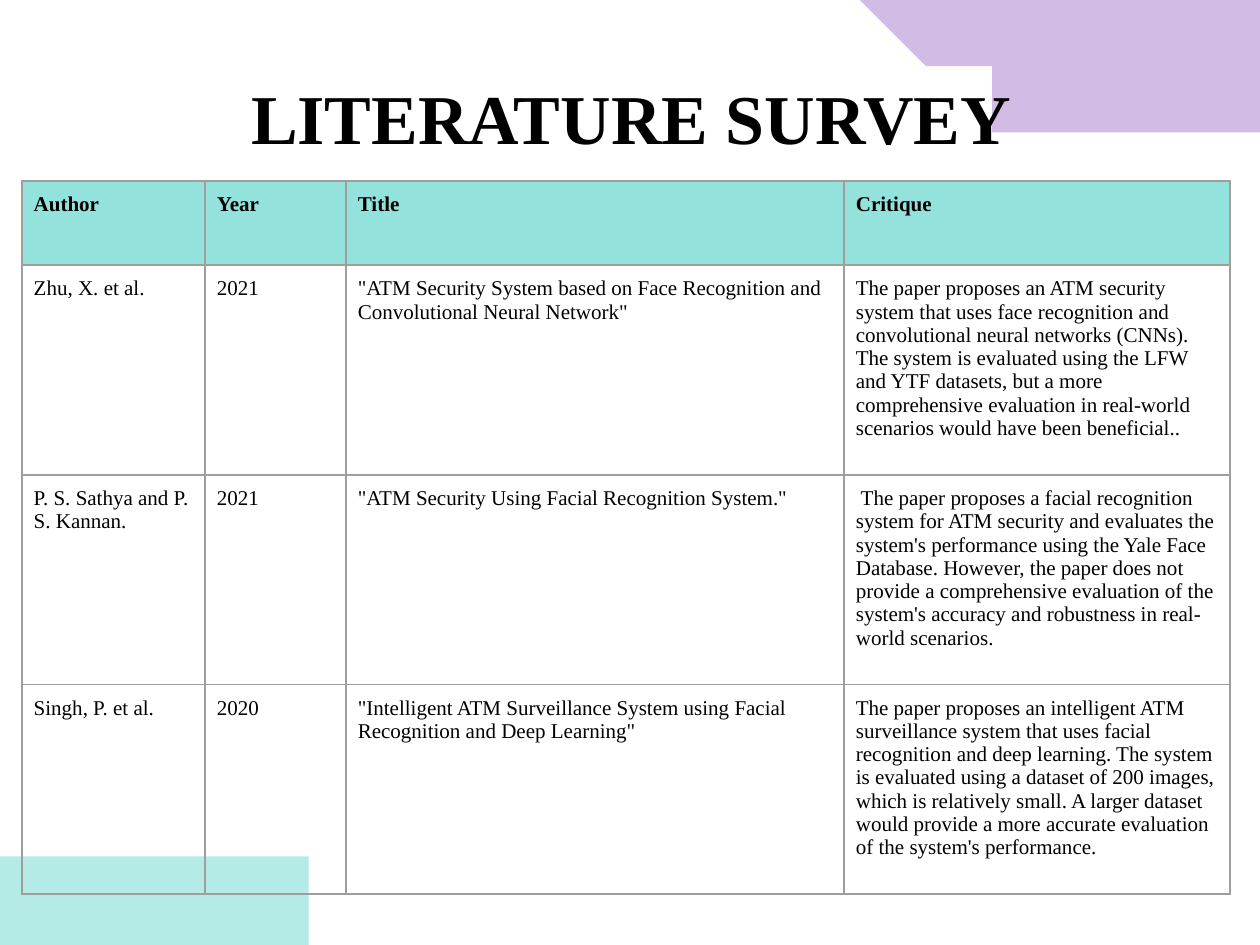
"""Build the literature survey slide."""
from dataclasses import dataclass

from lxml import etree
from pptx import Presentation
from pptx import util as u
from pptx.dml.color import RGBColor
from pptx.enum import shapes, text
from pptx.oxml import ns

FONT = "Times New Roman"
BLACK = RGBColor(0x00, 0x00, 0x00)
HEADER_TEAL = RGBColor(0x94, 0xE2, 0xDC)
CORNER_TEAL = RGBColor(0xB5, 0xEB, 0xE7)
LILAC = RGBColor(0xD2, 0xBC, 0xE6)
BORDER_GREY = RGBColor(0x9E, 0x9E, 0x9E)

Point = tuple[float, float]
Curve = tuple[Point, Point, Point]


@dataclass(frozen=True)
class Paper:
    """One row of the survey."""

    author: str
    year: str
    title: str
    critique: str

    def values(self) -> tuple[str, ...]:
        """Return the row's cell texts in column order."""
        return self.author, self.year, self.title, self.critique


HEADER = Paper("Author", "Year", "Title", "Critique")
PAPERS = [
    Paper(
        "Zhu, X. et al.",
        "2021",
        '"ATM Security System based on Face Recognition and Convolutional Neural Network"',
        "The paper proposes an ATM security system that uses face recognition and "
        "convolutional neural networks (CNNs). The system is evaluated using the LFW and "
        "YTF datasets, but a more comprehensive evaluation in real-world scenarios would "
        "have been beneficial..",
    ),
    Paper(
        "P. S. Sathya and P. S. Kannan.",
        "2021",
        '"ATM Security Using Facial Recognition System."',
        " The paper proposes a facial recognition system for ATM security and evaluates "
        "the system's performance using the Yale Face Database. However, the paper does "
        "not provide a comprehensive evaluation of the system's accuracy and robustness "
        "in real-world scenarios.",
    ),
    Paper(
        "Singh, P. et al.",
        "2020",
        '"Intelligent ATM Surveillance System using Facial Recognition and Deep Learning"',
        "The paper proposes an intelligent ATM surveillance system that uses facial "
        "recognition and deep learning. The system is evaluated using a dataset of 200 "
        "images, which is relatively small. A larger dataset would provide a more "
        "accurate evaluation of the system's performance.",
    ),
]
COLUMN_WIDTHS = [2.77, 2.13, 7.53, 5.84]
HEADER_HEIGHT, PAPER_HEIGHT = 1.27, 3.17

WAVE_TOP_RIGHT: Point = (21.54, -2.59)
WAVE_TOP_LEFT: Point = (13.13, -2.59)
WAVE_START: Point = (13.13, 0)
WAVE_CURVES: list[Curve] = [
    ((13.89, 1.22), (15.06, 2.01), (16.26, 2.01)),
    ((17.2, 2.01), (18.08, 1.55), (19.02, 1.52)),
    ((19.96, 1.52), (20.83, 1.96), (21.54, 2.64)),
]


def curve_points(start: Point, curve: Curve, steps: int = 24) -> list[Point]:
    """Sample a cubic curve, leaving out its start."""
    points = []
    for step in range(1, steps + 1):
        t = step / steps
        weights = ((1 - t) ** 3, 3 * t * (1 - t) ** 2, 3 * t**2 * (1 - t), t**3)
        x, y = (sum(w * p[axis] for w, p in zip(weights, (start, *curve))) for axis in (0, 1))
        points.append((x, y))
    return points


def paint(shape, color: RGBColor) -> None:
    """Give a decoration a plain fill without line or shadow."""
    shape.fill.solid()
    shape.fill.fore_color.rgb = color
    shape.line.fill.background()
    shape.shadow.inherit = False


def add_decorations(slide) -> None:
    """Draw the teal corner block and the lilac wave."""
    corner = slide.shapes.add_shape(
        shapes.MSO_SHAPE.RECTANGLE, u.Cm(0), u.Cm(12.95), u.Cm(4.67), u.Cm(1.34)
    )
    paint(corner, CORNER_TEAL)
    outline = [WAVE_TOP_LEFT, WAVE_START]
    for curve in WAVE_CURVES:
        outline += curve_points(outline[-1], curve)
    builder = slide.shapes.build_freeform(*WAVE_TOP_RIGHT, scale=float(u.Cm(1)))
    builder.add_line_segments(outline, close=True)
    paint(builder.convert_to_shape(), LILAC)


def add_run(paragraph, content: str, size: float, bold: bool) -> None:
    """Add one run in the slide's font."""
    run = paragraph.add_run()
    run.text = content
    run.font.name = FONT
    run.font.size = u.Pt(size)
    run.font.bold = bold
    run.font.color.rgb = BLACK


def add_title(slide) -> None:
    """Fill the title placeholder and bring it in front of the decorations."""
    title = slide.shapes.title
    title.element.getparent().append(title.element)
    title.left, title.top, title.width, title.height = (
        u.Cm(length) for length in (1.52, 0.74, 16.05, 1.19)
    )
    frame = title.text_frame
    frame.auto_size = text.MSO_AUTO_SIZE.NONE
    frame.vertical_anchor = text.MSO_ANCHOR.TOP
    frame.margin_left = frame.margin_right = frame.margin_bottom = u.Cm(0.25)
    frame.margin_top = u.Cm(0.38)
    paragraph = frame.paragraphs[0]
    paragraph.alignment = text.PP_ALIGN.CENTER
    add_run(paragraph, "LITERATURE SURVEY", 30, True)


def add_borders(cell) -> None:
    """Draw thin grey lines on all four sides of a cell."""
    properties = cell._tc.get_or_add_tcPr()
    for position, side in enumerate(("lnL", "lnR", "lnT", "lnB")):
        line = etree.Element(ns.qn(f"a:{side}"), w=str(u.Pt(0.75)))
        fill = etree.SubElement(line, ns.qn("a:solidFill"))
        etree.SubElement(fill, ns.qn("a:srgbClr"), val=str(BORDER_GREY))
        properties.insert(position, line)


def format_cell(cell, content: str, is_header: bool) -> None:
    """Write and style one table cell."""
    cell.margin_left = cell.margin_right = u.Cm(0.18)
    cell.margin_top = cell.margin_bottom = u.Cm(0.18)
    if is_header:
        cell.fill.solid()
        cell.fill.fore_color.rgb = HEADER_TEAL
    else:
        cell.fill.background()
    add_borders(cell)
    add_run(cell.text_frame.paragraphs[0], content, 9, is_header)


def add_survey_table(slide) -> None:
    """Add the table of surveyed papers."""
    rows = [HEADER, *PAPERS]
    heights = [HEADER_HEIGHT] + [PAPER_HEIGHT] * len(PAPERS)
    table = slide.shapes.add_table(
        len(rows), len(COLUMN_WIDTHS),
        u.Cm(0.33), u.Cm(2.74), u.Cm(sum(COLUMN_WIDTHS)), u.Cm(sum(heights)),
    ).table
    table.horz_banding = False
    for column, width in zip(table.columns, COLUMN_WIDTHS):
        column.width = u.Cm(width)
    for row, height, paper in zip(table.rows, heights, rows):
        row.height = u.Cm(height)
        for cell, content in zip(row.cells, paper.values()):
            format_cell(cell, content, paper is HEADER)


def main() -> None:
    """Build and save the presentation."""
    presentation = Presentation()
    presentation.slide_width, presentation.slide_height = u.Cm(19.05), u.Cm(14.29)
    slide = presentation.slides.add_slide(presentation.slide_layouts.get_by_name("Title Only"))
    add_decorations(slide)
    add_title(slide)
    add_survey_table(slide)
    presentation.save("out.pptx")


if __name__ == "__main__":
    main()
